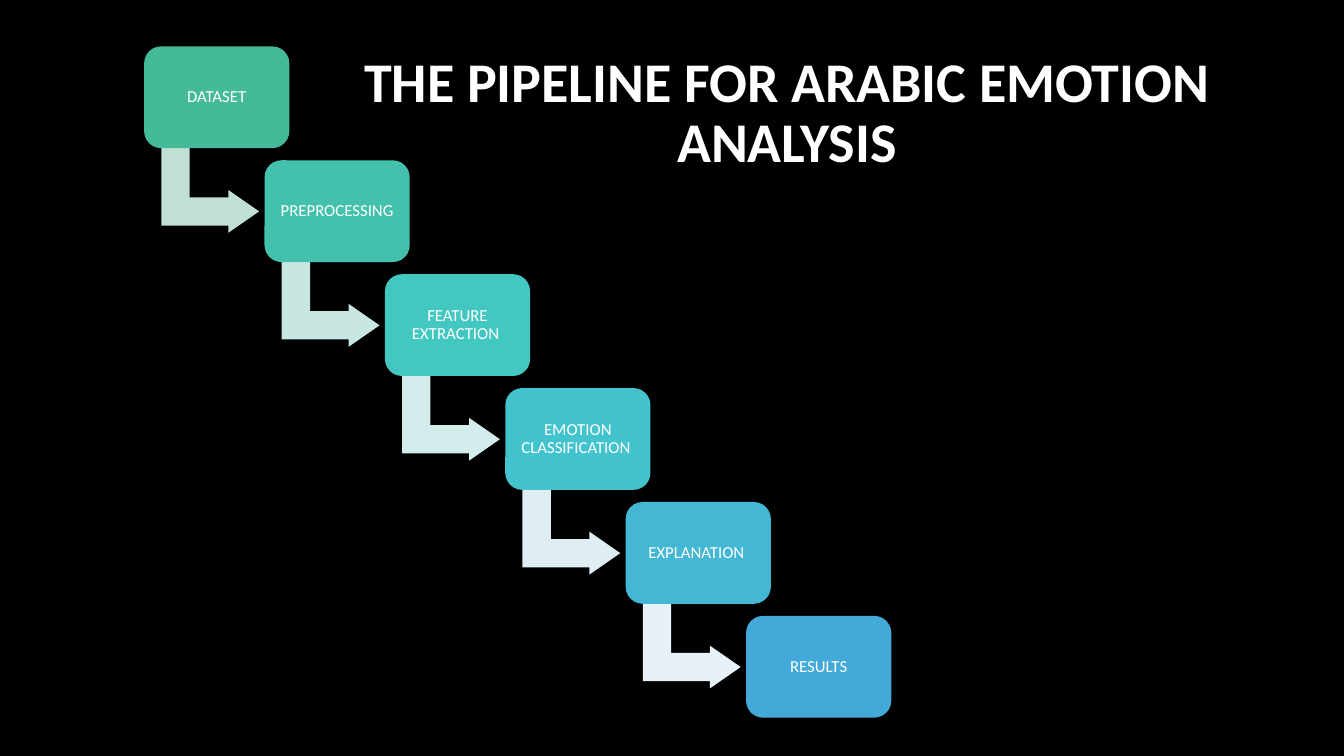
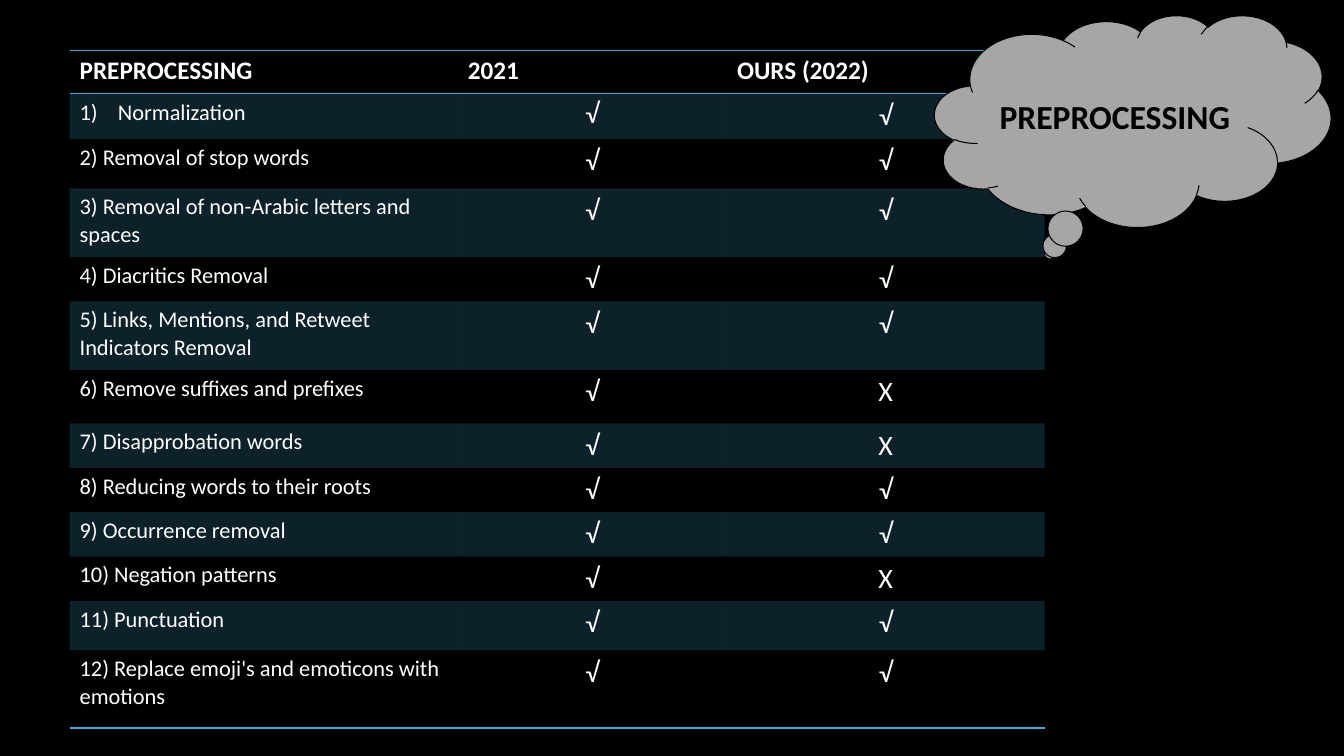
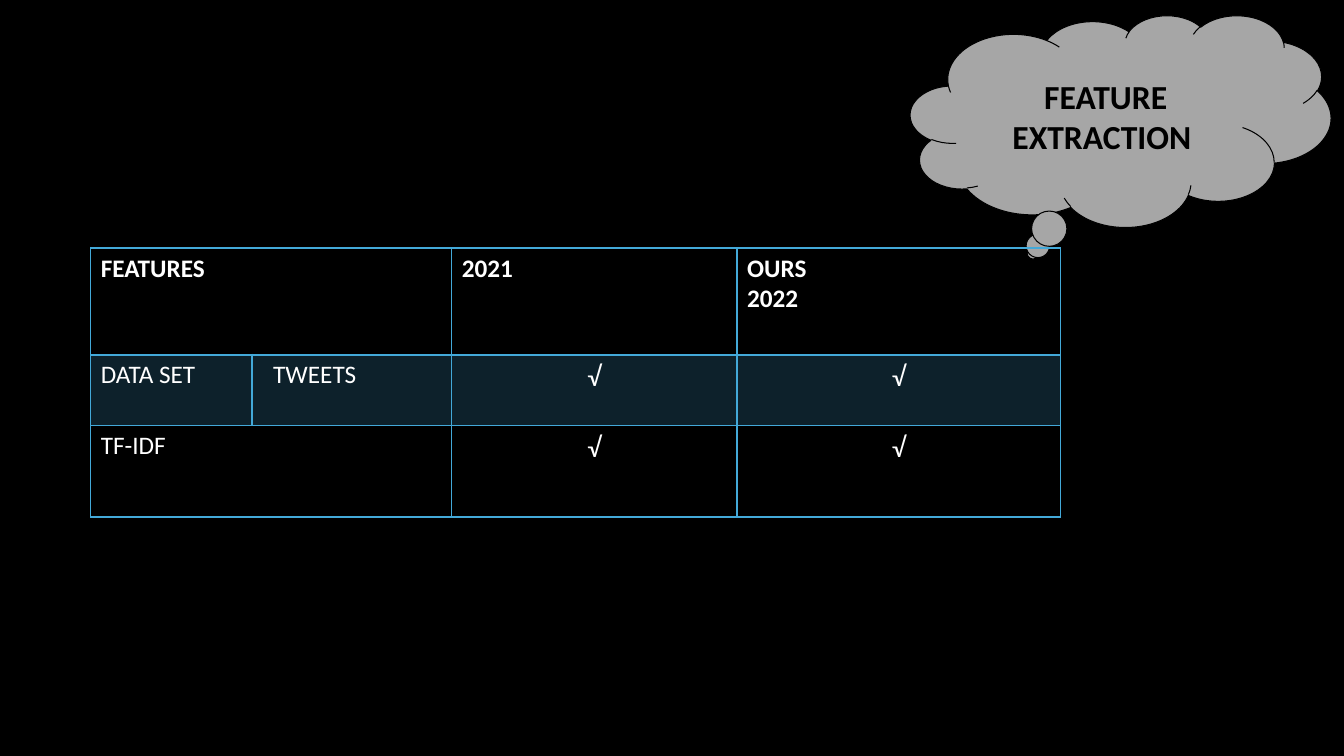
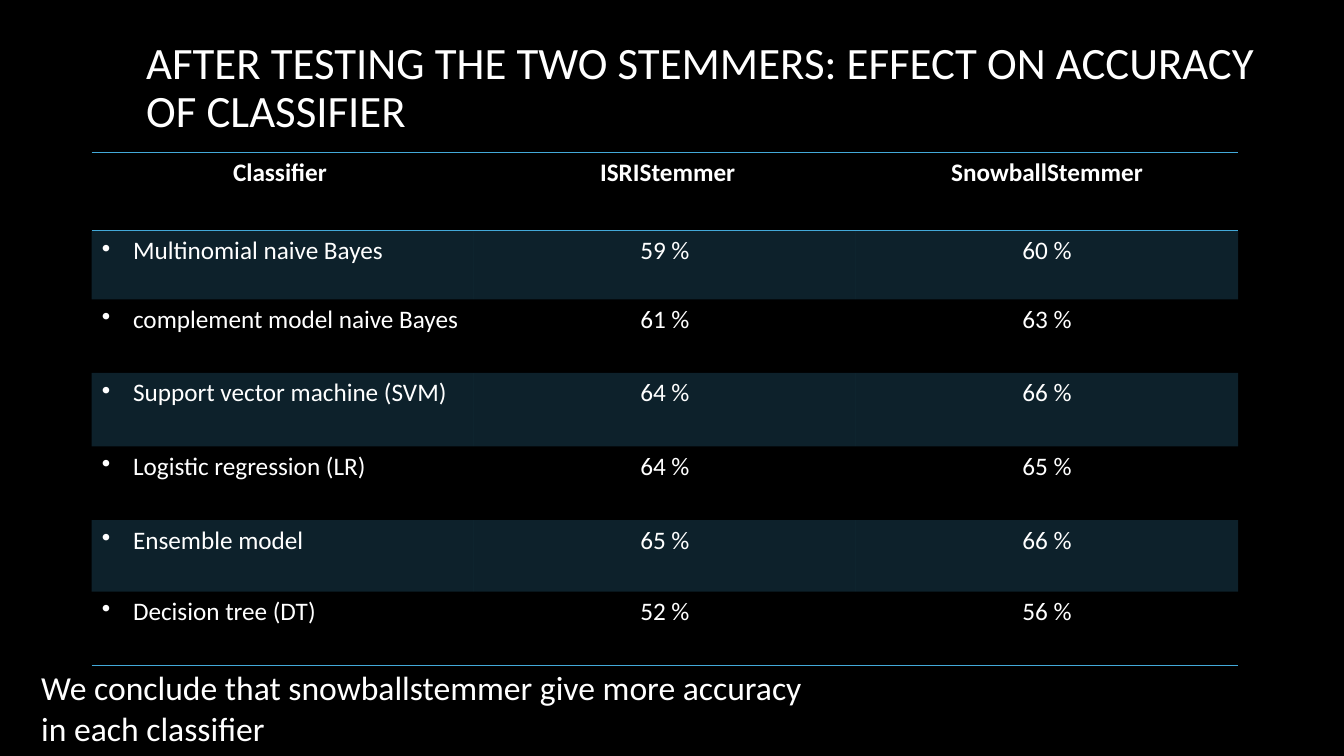
import pptx
import pptx.util
import pptx.dml.color
import pptx.enum.shapes
import pptx.enum.text
import pptx.oxml
import pptx.oxml.ns

Inches, Pt = pptx.util.Inches, pptx.util.Pt
qn = pptx.oxml.ns.qn
SHAPE = pptx.enum.shapes.MSO_SHAPE
ALIGN = pptx.enum.text.PP_ALIGN
ANCHOR = pptx.enum.text.MSO_ANCHOR

# Shared look
FONT = "Calibri"
COLORS = {"back": "000000", "text": "FFFFFF", "accent": "43A9D9",
          "cloud": "A6A6A6", "ink": "000000"}
BAND_OPACITY = 20
NO_STYLE = "{2D5ABB26-0587-4C30-8999-92F81FD0307C}"

# Slide 1: steps as (label, box colour, colour of the arrow to the next step)
PIPELINE_TITLE = "THE PIPELINE FOR ARABIC EMOTION ANALYSIS"
STEPS = [
    ("DATASET", "44BA98", "C1E0D4"),
    ("PREPROCESSING", "43C1AC", "C9E7E2"),
    ("FEATURE EXTRACTION ", "43C7C1", "D3EDED"),
    ("EMOTION CLASSIFICATION ", "42C3CE", "DEEEF3"),
    ("EXPLANATION ", "43B7D3", "E9F1F8"),
    ("RESULTS", "43A9D9", None),
]
FIRST_BOX, LAST_BOX = (1.43, 0.46), (7.4, 6.11)
BOX_SIZE = (1.44, 1.01)
ARROW_OFFSET, ARROW_SIZE = (0.23, 0.94), (0.85, 0.97)
ARROW_ADJUST = (0.33, 0.25, 0.36)

# Slide 2
PREPROCESSING = [
    ("PREPROCESSING", "2021", "OURS (2022)"),
    ("Normalization", "√", "√"),
    ("2) Removal of stop words", "√", "√"),
    ("3) Removal of non-Arabic letters and spaces", "√", "√"),
    ("4) Diacritics Removal", "√", "√"),
    ("5) Links, Mentions, and Retweet Indicators Removal", "√", "√"),
    ("6) Remove suffixes and prefixes", "√", "Χ"),
    ("7) Disapprobation words", "√", "Χ"),
    ("8) Reducing words to their roots", "√", "√"),
    ("9) Occurrence removal", "√", "√"),
    ("10) Negation patterns", "√", "Χ"),
    ("11) Punctuation", "√", "√"),
    ("12) Replace emoji's and emoticons with emotions", "√", "√"),
]
PREPROCESSING_ROWS = [0.43, 0.45, 0.49, 0.68, 0.44, 0.68, 0.53,
                      0.44, 0.44, 0.44, 0.44, 0.49, 0.77]

# Slide 3
FEATURES = [
    ("FEATURES", "", "2021", "OURS\n2022"),
    ("DATA SET", "TWEETS", "√", "√"),
    ("TF-IDF", "", "√", "√"),
]

# Slide 4
STEMMER_TITLE = "AFTER TESTING THE TWO STEMMERS: EFFECT ON ACCURACY OF CLASSIFIER"
ACCURACY = [
    ("Classifier ", " ISRIStemmer", "SnowballStemmer"),
    ("Multinomial naive Bayes", "59 %", "60 %"),
    ("complement model naive Bayes", "61 %", "63 %"),
    ("Support vector machine (SVM)", "64 %", "66 %"),
    ("Logistic regression (LR)", "64 %", "65 %"),
    ("Ensemble model", "65 %", "66 %"),
    ("Decision tree (DT)", "52 %", "56 %"),
]
CONCLUSION = "We conclude that snowballstemmer give more accuracy in each classifier"


def rgb(color):
    return pptx.dml.color.RGBColor.from_string(color)


def write(tf, text, size, color=COLORS["text"], bold=False, align=ALIGN.LEFT, spacing=None):
    for i, line in enumerate(text.split("\n")):
        p = tf.add_paragraph() if i else tf.paragraphs[0]
        p.alignment = align
        if spacing:
            p.line_spacing = spacing
        r = p.add_run()
        r.text = line
        r.font.name, r.font.size, r.font.bold = FONT, Pt(size), bold
        r.font.color.rgb = rgb(color)


def set_title(s, text, box, size, bold, align):
    title = s.shapes.title
    title.left, title.top, title.width, title.height = map(Inches, box)
    tf = title.text_frame
    tf.auto_size = pptx.enum.text.MSO_AUTO_SIZE.NONE
    tf.vertical_anchor = ANCHOR.MIDDLE
    write(tf, text, size, bold=bold, align=align, spacing=0.9)


def add_shape(s, kind, box, fill):
    sp = s.shapes.add_shape(kind, *map(Inches, box))
    sp.shadow.inherit = False
    sp.fill.solid()
    sp.fill.fore_color.rgb = rgb(fill)
    sp.line.fill.background()
    sp.text_frame.word_wrap = True
    sp.text_frame.vertical_anchor = ANCHOR.MIDDLE
    return sp


def add_cloud(s, text, left, width):
    cloud = add_shape(s, SHAPE.CLOUD_CALLOUT, (left, 0.15, width, 2.1), COLORS["cloud"])
    cloud.line.color.rgb = rgb(COLORS["ink"])
    cloud.line.width = Pt(0.75)
    write(cloud.text_frame, text, 24, COLORS["ink"], True, ALIGN.CENTER)


def add_border(cell, side, width):
    cell._tc.get_or_add_tcPr().append(pptx.oxml.parse_xml(
        f'<a:ln{side} {pptx.oxml.ns.nsdecls("a")} w="{Pt(width)}"><a:solidFill>'
        f'<a:srgbClr val="{COLORS["accent"]}"/></a:solidFill></a:ln{side}>'))


def fill_band(cell):
    cell.fill.solid()
    cell.fill.fore_color.rgb = rgb(COLORS["accent"])
    color = cell._tc.tcPr.find(qn("a:solidFill") + "/" + qn("a:srgbClr"))
    alpha = color.makeelement(qn("a:alpha"), {"val": str(BAND_OPACITY * 1000)})
    color.append(alpha)


def add_bullet(cell, tag, attributes, indent):
    pPr = cell.text_frame.paragraphs[0]._p.get_or_add_pPr()
    pPr.set("marL", str(Inches(indent)))
    pPr.set("indent", str(-Inches(indent)))
    pPr.append(pPr.makeelement(qn(tag), attributes))


def add_table(s, left, top, cols, heights, data, label_size, value_size,
              labels=1, grid=False, head_align=ALIGN.LEFT):
    """Header row, shaded odd rows; ruled lines or a full grid."""
    gf = s.shapes.add_table(len(data), len(cols), *map(
        Inches, (left, top, sum(cols), sum(heights))))
    for style in gf.element.iter(qn("a:tableStyleId")):
        style.text = NO_STYLE
    table = gf.table
    for column, width in zip(table.columns, cols):
        column.width = Inches(width)
    last = len(data) - 1
    for i, values in enumerate(data):
        table.rows[i].height = Inches(heights[i])
        for j, value in enumerate(values):
            cell = table.cell(i, j)
            if i == 0:
                size, align = 18, head_align
            elif j < labels:
                size, align = label_size, ALIGN.LEFT
            else:
                size, align = value_size, ALIGN.CENTER
            if value:
                write(cell.text_frame, value, size, bold=i == 0, align=align)
            # Borders come before the fill in the cell properties
            sides = "LR" if grid else ""
            sides += "T" if i == 0 else ""
            sides += "B" if grid or i in (0, last) else ""
            for side in sides:
                add_border(cell, side, 2 if grid and i == 0 and side == "B" else 1)
            if i % 2:
                fill_band(cell)
            else:
                cell.fill.background()
    return table


def pipeline_slide(prs):
    s = prs.slides.add_slide(prs.slide_layouts[5])
    set_title(s, PIPELINE_TITLE, (2.95, 0.26, 9.71, 1.75), 40, True, ALIGN.CENTER)
    dx, dy = [(b - a) / (len(STEPS) - 1) for a, b in zip(FIRST_BOX, LAST_BOX)]
    for i, (label, box_color, arrow_color) in enumerate(STEPS):
        x, y = FIRST_BOX[0] + i * dx, FIRST_BOX[1] + i * dy
        if arrow_color:
            arrow = add_shape(s, SHAPE.BENT_UP_ARROW, (
                x + ARROW_OFFSET[0], y + ARROW_OFFSET[1], *ARROW_SIZE), arrow_color)
            arrow.rotation = 90
            for k, value in enumerate(ARROW_ADJUST):
                arrow.adjustments[k] = value
        box = add_shape(s, SHAPE.ROUNDED_RECTANGLE, (x, y, *BOX_SIZE), box_color)
        tf = box.text_frame
        tf.margin_left = tf.margin_right = tf.margin_top = tf.margin_bottom = Inches(0.05)
        write(tf, label, 12, align=ALIGN.CENTER, spacing=0.9)


def preprocessing_slide(prs):
    s = prs.slides.add_slide(prs.slide_layouts[6])
    table = add_table(s, 0.69, 0.5, [3.85, 2.67, 3.15], PREPROCESSING_ROWS,
                      PREPROCESSING, 16, 20)
    add_bullet(table.cell(1, 0), "a:buAutoNum", {"type": "arabicParenR"}, 0.38)
    table.cell(1, 1).text_frame.paragraphs[0].line_spacing = Pt(23)
    add_cloud(s, "PREPROCESSING ", 9.27, 3.93)


def features_slide(prs):
    s = prs.slides.add_slide(prs.slide_layouts[6])
    add_cloud(s, "FEATURE EXTRACTION ", 9.03, 4.17)
    table = add_table(s, 0.9, 2.46, [1.6, 1.98, 2.83, 3.21], [1.06, 0.7, 0.91],
                      FEATURES, 18, 20, labels=2, grid=True)
    for i in (0, 2):
        table.cell(i, 0).merge(table.cell(i, 1))
    table.cell(1, 1).margin_left = Inches(0.21)


def accuracy_slide(prs):
    s = prs.slides.add_slide(prs.slide_layouts[5])
    set_title(s, STEMMER_TITLE, (1.35, 0.14, 11.33, 1.48), 32, False, ALIGN.LEFT)
    table = add_table(s, 0.91, 1.51, [3.79] * 3, [0.78, 0.68, 0.73, 0.73, 0.73, 0.71, 0.73],
                      ACCURACY, 18, 18, head_align=ALIGN.CENTER)
    for i in range(1, len(ACCURACY)):
        add_bullet(table.cell(i, 0), "a:buChar", {"char": "•"}, 0.31)
    note = s.shapes.add_textbox(*map(Inches, (0.31, 6.57, 7.8, 0.91)))
    note.text_frame.word_wrap = True
    write(note.text_frame, CONCLUSION, 24)


def main():
    prs = pptx.Presentation()
    prs.slide_width, prs.slide_height = Inches(13.33), Inches(7.5)
    back = prs.slide_master.background.fill
    back.solid()
    back.fore_color.rgb = rgb(COLORS["back"])
    for build in (pipeline_slide, preprocessing_slide, features_slide, accuracy_slide):
        build(prs)
    prs.save("out.pptx")


if __name__ == "__main__":
    main()
